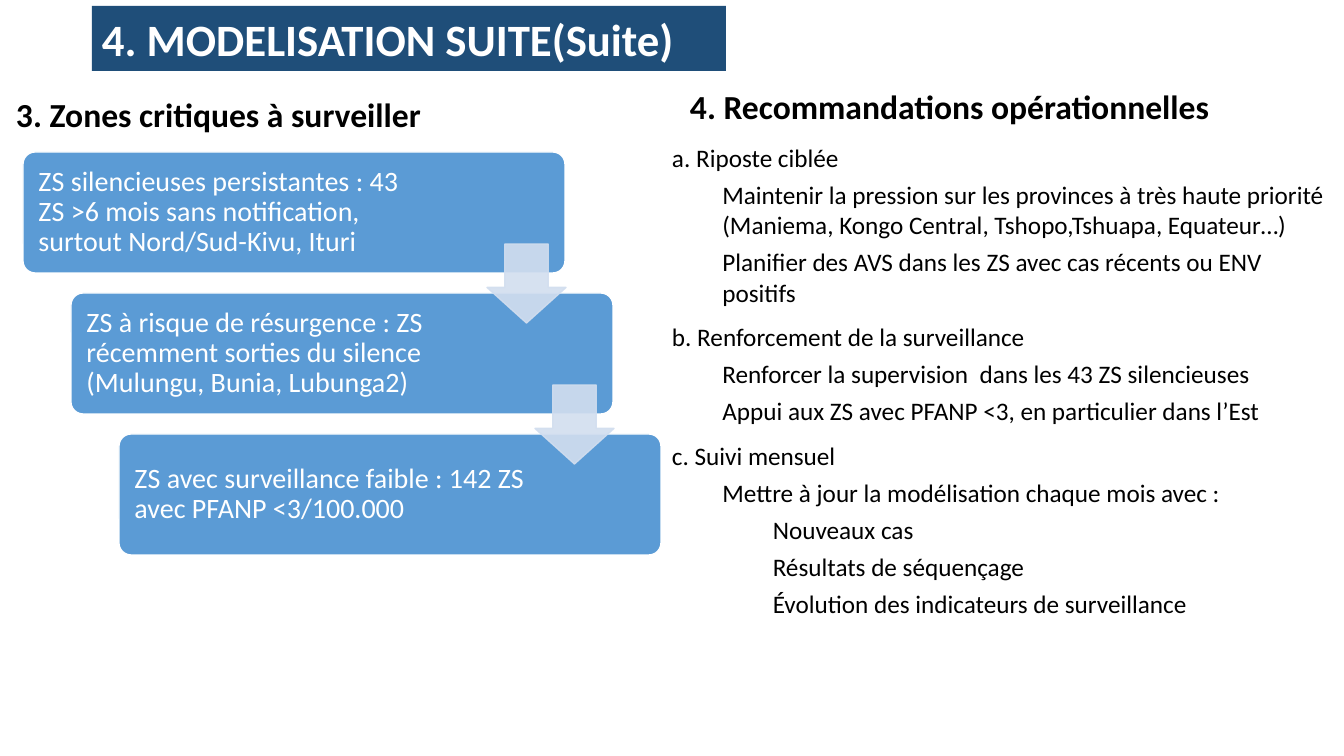
from lxml import etree
from pptx import Presentation
from pptx.dml.color import RGBColor
from pptx.enum.shapes import MSO_SHAPE
from pptx.enum.text import MSO_ANCHOR, MSO_AUTO_SIZE, PP_ALIGN
from pptx.oxml.ns import qn
from pptx.util import Pt

PX = 914400 / 100.8
COMPARISON_LAYOUT = 4
ROUNDED, DOWN_ARROW = MSO_SHAPE.ROUNDED_RECTANGLE, MSO_SHAPE.DOWN_ARROW
TOP, MIDDLE, BOTTOM = MSO_ANCHOR.TOP, MSO_ANCHOR.MIDDLE, MSO_ANCHOR.BOTTOM
LEFT, NO_FIT = PP_ALIGN.LEFT, MSO_AUTO_SIZE.NONE
NAVY, BLUE, PALE, WHITE, BLACK = "1F4E79", "5B9BD5", "D2DEEF", "FFFFFF", "000000"

CRITICAL_ZONES = [
    "ZS silencieuses persistantes : 43 ZS >6 mois sans notification, surtout Nord/Sud-Kivu, Ituri",
    "ZS à risque de résurgence : ZS récemment sorties du silence (Mulungu, Bunia, Lubunga2)",
    "ZS avec surveillance faible : 142 ZS avec PFANP <3/100.000",
]
RECOMMENDATIONS = [
    (0, "a. Riposte ciblée"),
    (1, "Maintenir la pression sur les provinces à très haute priorité "
        "(Maniema, Kongo Central, Tshopo,Tshuapa, Equateur…)"),
    (1, "Planifier des AVS dans les ZS avec cas récents ou ENV positifs"),
    (0, "b. Renforcement de la surveillance"),
    (1, "Renforcer la supervision  dans les 43 ZS silencieuses"),
    (1, "Appui aux ZS avec PFANP <3, en particulier dans l’Est"),
    (0, "c. Suivi mensuel"),
    (1, "Mettre à jour la modélisation chaque mois avec :"),
    (2, "Nouveaux cas"),
    (2, "Résultats de séquençage"),
    (2, "Évolution des indicateurs de surveillance"),
]


def px(length):
    return round(length * PX)


def paint(color_format, color):
    color_format.rgb = RGBColor.from_string(color)


def place(shape, box):
    for name, length in zip(("left", "top", "width", "height"), box):
        setattr(shape, name, px(length))


def set_frame(frame, anchor, margins=(10, 5, 10, 5)):
    values = {"word_wrap": True, "auto_size": NO_FIT, "vertical_anchor": anchor}
    for side, margin in zip(("left", "top", "right", "bottom"), margins):
        values["margin_" + side] = px(margin)
    for name, value in values.items():
        setattr(frame, name, value)


def write(para, text, size, color, bold=False, spacing=1.0, before=0):
    values = {"alignment": LEFT, "line_spacing": spacing,
              "space_before": Pt(before), "space_after": Pt(0)}
    for name, value in values.items():
        setattr(para, name, value)
    span = para.add_run()
    span.text = text
    for name, value in {"name": "Calibri", "size": Pt(size), "bold": bold}.items():
        setattr(span.font, name, value)
    paint(span.font.color, color)


def add_filled(page, kind, box, color, line_color, adjustments):
    shape = page.shapes.add_shape(kind, *map(px, box))
    shape.shadow.inherit = False
    shape.fill.solid()
    paint(shape.fill.fore_color, color)
    shape.line.width = Pt(1)
    paint(shape.line.color, line_color)
    for index, value in enumerate(adjustments):
        shape.adjustments[index] = value
    return shape


def title_bar(title, box):
    place(title, box)
    title.fill.solid()
    paint(title.fill.fore_color, NAVY)
    set_frame(title.text_frame, MIDDLE)
    write(title.text_frame.paragraphs[0], "4. MODELISATION SUITE(Suite)", 32, WHITE, bold=True)


def heading(holder, box, text):
    place(holder, box)
    set_frame(holder.text_frame, BOTTOM)
    write(holder.text_frame.paragraphs[0], text, 24, BLACK, bold=True, spacing=0.9)


def zone_steps(page, box):
    left, top, width, height = box
    step_x, step_y, card_height = 48, 141, 121
    card_width = width - step_x * (len(CRITICAL_ZONES) - 1)
    corners = [(left + step_x * row, top + step_y * row) for row in range(len(CRITICAL_ZONES))]
    # Staggered cards
    for (x, y), text in zip(corners, CRITICAL_ZONES):
        card = add_filled(page, ROUNDED, (x, y, card_width, card_height), BLUE, WHITE, [0.1])
        set_frame(card.text_frame, MIDDLE, (12, 8, 133, 8))
        write(card.text_frame.paragraphs[0], text, 20, WHITE, spacing=0.9)
    # Translucent arrows from each card to the next
    for x, y in corners[:-1]:
        arrow = add_filled(page, DOWN_ARROW, (x + 464, y + 92, 79, 79), PALE, PALE, [0.55, 0.45])
        for color in arrow._element.spPr.iter(qn("a:srgbClr")):
            etree.SubElement(color, qn("a:alpha")).set("val", "90000")


def recommendation_list(holder, box):
    place(holder, box)
    frame = holder.text_frame
    set_frame(frame, TOP)
    for index, (level, text) in enumerate(RECOMMENDATIONS):
        para = frame.add_paragraph() if index else frame.paragraphs[0]
        para.level = level
        properties = para._p.get_or_add_pPr()
        properties.set("marL", str(level * 457200))
        properties.set("indent", "0")
        etree.SubElement(properties, qn("a:buNone"))
        before = 0 if index == 0 else 5 if level else 10
        write(para, text, 18, BLACK, before=before)


def main():
    deck = Presentation()
    deck.slide_width, deck.slide_height = px(1344), px(756)
    page = deck.slides.add_slide(deck.slide_layouts[COMPARISON_LAYOUT])
    holders = {holder.placeholder_format.idx: holder for holder in page.placeholders}

    # Left column
    heading(holders[1], (6, 49, 569, 91), "3. Zones critiques à surveiller")
    zone_steps(page, (23, 152, 638, 403))

    # Right column
    heading(holders[3], (680, 83, 572, 49), "4. Recommandations opérationnelles")
    recommendation_list(holders[4], (662, 137, 682, 500))

    # Title, and the unused placeholder
    title_bar(holders[0], (92, 6, 634, 65))
    unused = holders[2]._element
    unused.getparent().remove(unused)

    deck.save("out.pptx")


if __name__ == "__main__":
    main()
